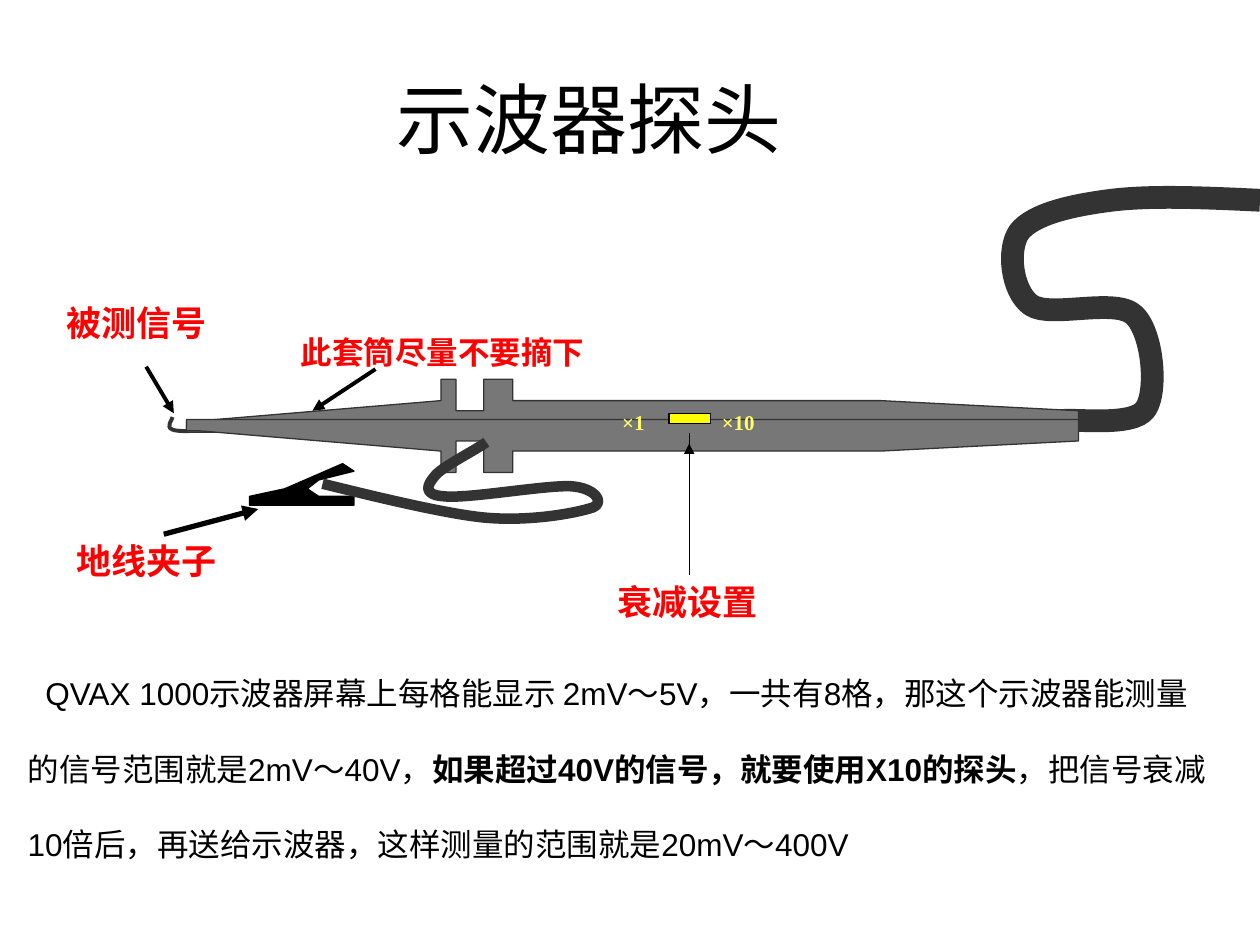
from dataclasses import dataclass

from lxml import etree
from pptx import Presentation
from pptx.dml.color import RGBColor
from pptx.enum.shapes import MSO_CONNECTOR, MSO_SHAPE
from pptx.enum.text import MSO_ANCHOR, MSO_AUTO_SIZE, PP_ALIGN
from pptx.oxml.ns import qn
from pptx.util import Inches, Pt

LINE = MSO_CONNECTOR.STRAIGHT
RECT = MSO_SHAPE.RECTANGLE
TOP = MSO_ANCHOR.TOP
FIXED = MSO_AUTO_SIZE.NONE
LEFT, MID = PP_ALIGN.LEFT, PP_ALIGN.CENTER


@dataclass(frozen=True)
class Theme:
    black: str = "000000"
    red: str = "FF0000"
    grey: str = "777777"
    dark: str = "333333"
    yellow: str = "FFFF00"
    pale: str = "FFFF66"
    sans: str = "Arial"
    serif: str = "Times New Roman"
    title: int = 44
    body: int = 18
    label: int = 20
    note: int = 18
    mark: int = 12


THEME = Theme()

HOOK = [(1.7, 3.41), (1.56, 3.42), (1.42, 3.43), (1.37, 3.41),
        (1.31, 3.39), (1.37, 3.33), (1.37, 3.31)]
CABLE = [(8.41, 3.34), (8.53, 3.32), (8.99, 3.39), (9.09, 3.25),
         (9.19, 3.11), (9.15, 2.64), (9, 2.5),
         (8.85, 2.36), (8.33, 2.53), (8.18, 2.42),
         (8.03, 2.31), (7.99, 1.98), (8.09, 1.84),
         (8.2, 1.7), (8.5, 1.63), (8.82, 1.59),
         (9.14, 1.55), (9.57, 1.57), (10, 1.59)]
LEAD = [(2.56, 3.84), (2.77, 3.89), (3.51, 4.08), (3.86, 4.11),
        (4.22, 4.14), (4.58, 4.07), (4.7, 4.03),
        (4.81, 3.99), (4.72, 3.87), (4.53, 3.86),
        (4.33, 3.85), (3.71, 3.96), (3.53, 3.94),
        (3.35, 3.93), (3.39, 3.85), (3.45, 3.78),
        (3.5, 3.71), (3.78, 3.57), (3.86, 3.51)]
PROBE = [(1.59, 3.34), (3.5, 3.18), (3.5, 3.01), (3.62, 3.01),
         (3.62, 3.26), (3.84, 3.26), (3.84, 3.01), (4.07, 3.01),
         (4.07, 3.18), (6.99, 3.18), (8.56, 3.26), (8.56, 3.43),
         (1.48, 3.43), (1.48, 3.34)]
AXIS = 3.38
CLIP = [(1.98, 4.01), (2.81, 4.01), (2.81, 3.94), (2.53, 3.94),
        (2.44, 3.88), (2.53, 3.81), (2.81, 3.74), (2.72, 3.68),
        (2.26, 3.88), (1.98, 3.94)]

BODY = [
    ("QVAX 1000示波器屏幕上每格能显示 2mV～5V，一共有8格，那这个示波器能测量",),
    ("的信号范围就是2mV～40V，", "如果超过40V的信号，就要使用X10的探头", "，把信号衰减"),
    ("10倍后，再送给示波器，这样测量的范围就是20mV～400V",),
]


def color(code):
    return RGBColor.from_string(code)


def put(para, *parts, size, font, ink, bold=False, align=LEFT, indent=0, gap=0):
    para.alignment = align
    para.space_before = Pt(gap)
    props = para._p.get_or_add_pPr()
    props.set("marL", "0")
    props.set("indent", str(Inches(indent)))
    etree.SubElement(props, qn("a:buNone"))
    for pos, text in enumerate(parts):
        run = para.add_run()
        run.text = text
        run.font.size = Pt(size)
        run.font.name = font
        run.font.bold = bold or pos % 2 == 1
        run.font.color.rgb = color(ink)


def place(shape, left, top, width, height):
    shape.left, shape.top = Inches(left), Inches(top)
    shape.width, shape.height = Inches(width), Inches(height)


def label(slide, text, left, top, width, height, **form):
    box = slide.shapes.add_textbox(
        Inches(left), Inches(top), Inches(width), Inches(height))
    box.text_frame.word_wrap = True
    put(box.text_frame.paragraphs[0], text, bold=True, font=THEME.serif, **form)
    return box


def paint(shape, ink, width, fill=None):
    shape.shadow.inherit = False
    if fill:
        shape.fill.solid()
        shape.fill.fore_color.rgb = color(fill)
    else:
        shape.fill.background()
    shape.line.color.rgb = color(ink)
    shape.line.width = Pt(width)


def outline(slide, points, close=True):
    spots = [(Inches(x), Inches(y)) for x, y in points]
    pen = slide.shapes.build_freeform(*spots[0])
    pen.add_line_segments(spots[1:], close=close)
    return pen.convert_to_shape()


def curve(slide, points, width):
    shape = outline(slide, points, close=False)
    track = next(shape.element.iter(qn("a:path")))
    steps = track.findall(qn("a:lnTo"))
    for first in range(0, len(steps), 3):
        bend = etree.SubElement(track, qn("a:cubicBezTo"))
        for step in steps[first:first + 3]:
            bend.append(step[0])
            track.remove(step)
    paint(shape, THEME.dark, width)


def line(slide, start, end, width, head=True):
    link = slide.shapes.add_connector(
        LINE, *(Inches(num) for num in (*start, *end)))
    link.line.color.rgb = color(THEME.black)
    link.line.width = Pt(width)
    if head:
        etree.SubElement(link.line._get_or_add_ln(), qn("a:tailEnd"), type="triangle")
    etree.SubElement(link.element.spPr, qn("a:effectLst"))
    return link


def probe(slide):
    curve(slide, HOOK, 2.25)
    curve(slide, CABLE, 13)
    lower = [(x, 2 * AXIS - y) for x, y in PROBE]
    for half in (PROBE, lower):
        paint(outline(slide, half), THEME.dark, 0.75, THEME.grey)
    line(slide, (1.3, 4.24), (2.05, 4.04), 3)
    paint(outline(slide, CLIP), THEME.black, 0.75, THEME.black)
    curve(slide, LEAD, 6)
    knob = slide.shapes.add_shape(
        RECT, Inches(5.31), Inches(3.28), Inches(0.33), Inches(0.08))
    paint(knob, THEME.black, 0.75, THEME.yellow)
    mark = dict(size=THEME.mark, ink=THEME.pale)
    label(slide, "×1", 4.84, 3.2, 0.54, 0.3, **mark)
    label(slide, "×10", 5.63, 3.2, 0.58, 0.3, **mark)


def notes(slide):
    form = dict(size=THEME.label, ink=THEME.red)
    label(slide, "被测信号", 0.43, 2.34, 1.67, 0.44, **form)
    line(slide, (1.16, 2.91), (1.38, 3.28), 2.25)
    label(slide, "地线夹子", 0.51, 4.23, 1.33, 0.44, **form)
    label(slide, "此套筒尽量不要摘下", 2.23, 2.59, 3.24, 0.4,
          size=THEME.note, ink=THEME.red, indent=0.06)
    line(slide, (2.98, 2.93), (2.48, 3.26), 2.25)
    scale = label(slide, "衰减设置", 4.8, 4.56, 1.34, 0.44, **form)
    stem = line(slide, (5.47, 4.56), (5.47, 3.44), 0.75, head=False)
    stem.begin_connect(scale, 0)
    line(slide, (5.47, 3.67), (5.47, 3.52), 0.75)


def words(slide):
    title, body = slide.placeholders
    place(title, 3.05, 0.52, 3.26, 1.57)
    place(body, 0.12, 5.3, 9.61, 2.5)
    for shape in (title, body):
        frame = shape.text_frame
        frame.auto_size = FIXED
        frame.vertical_anchor = TOP
        frame.word_wrap = shape is body
    form = dict(font=THEME.sans, ink=THEME.black)
    put(title.text_frame.paragraphs[0], "示波器探头",
        size=THEME.title, align=MID, **form)
    frame = body.text_frame
    for pos, parts in enumerate(BODY):
        para = frame.add_paragraph() if pos else frame.paragraphs[0]
        put(para, *parts, size=THEME.body, indent=0 if pos else 0.14,
            gap=21.5 if pos else 0, **form)


def main():
    deck = Presentation()
    deck.slide_width, deck.slide_height = Inches(10), Inches(7.5)
    slide = deck.slides.add_slide(deck.slide_layouts[1])
    probe(slide)
    notes(slide)
    words(slide)
    deck.save("out.pptx")


if __name__ == "__main__":
    main()
